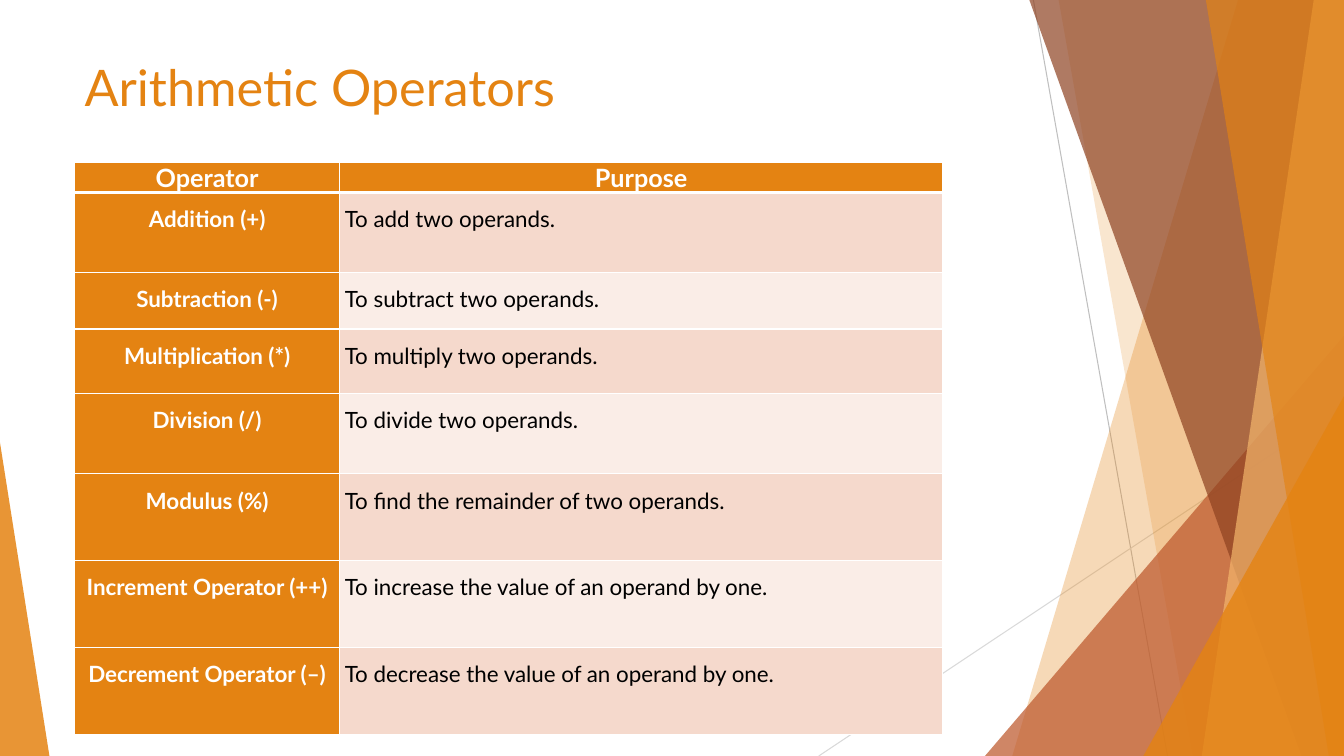
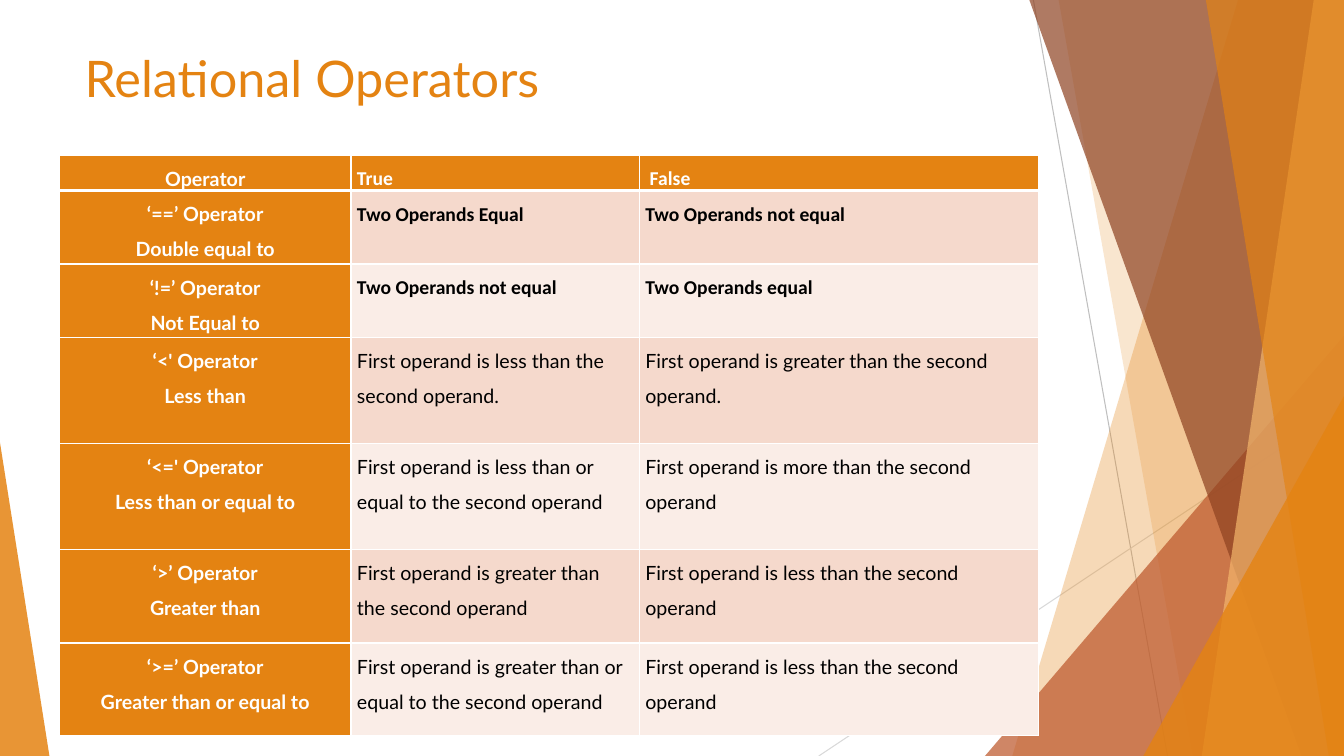
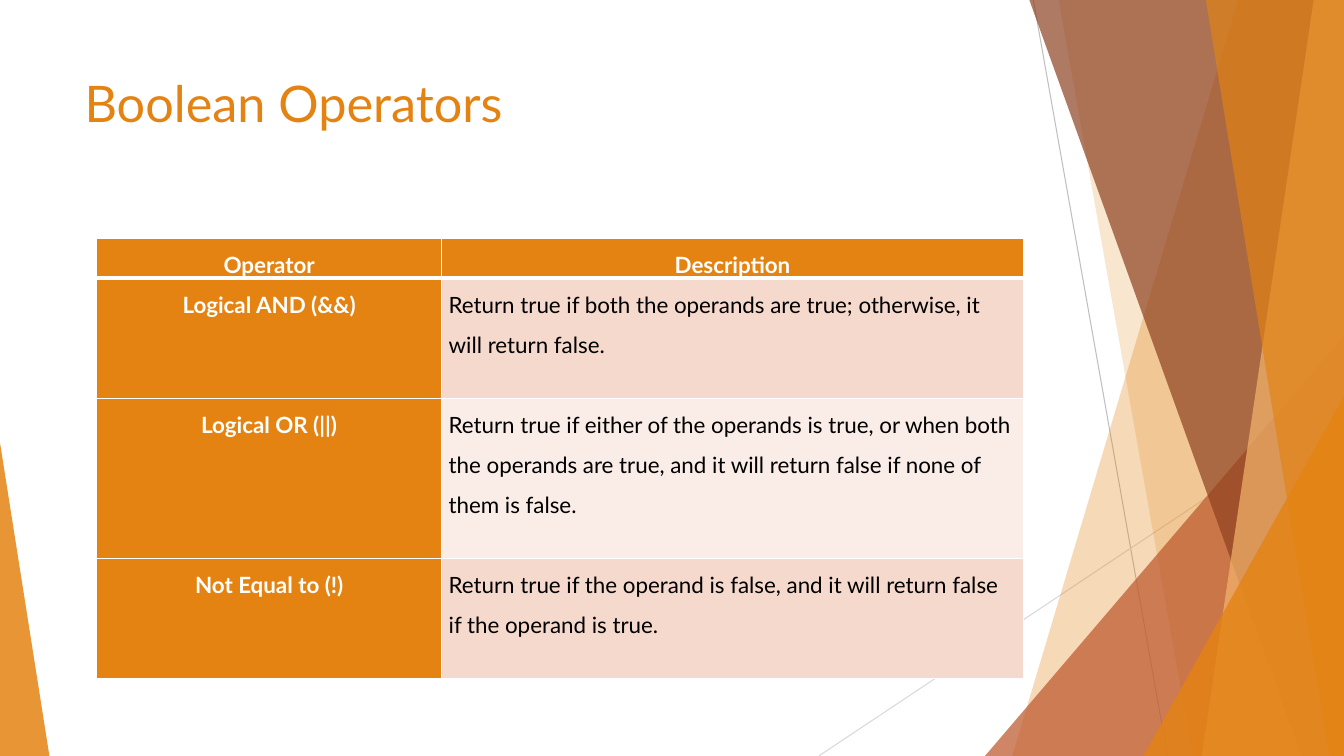
from dataclasses import dataclass
from typing import NamedTuple

from lxml.etree import SubElement
from pptx import Presentation
from pptx.dml.color import RGBColor
from pptx.enum.shapes import MSO_CONNECTOR as Connector, MSO_SHAPE as Preset
from pptx.enum.text import MSO_ANCHOR as Anchor, PP_ALIGN as Align
from pptx.oxml.ns import qn
from pptx.util import Emu, Inches, Pt

WIDTH, HEIGHT = Inches(13.33), Inches(7.5)

# Shared colours and fonts
ORANGE, RUST, BROWN, PEACH = "E48312", "BD582C", "8E4221", "F3B56C"
WHITE, BLACK = "FFFFFF", "000000"
ROW_TINTS = ("F5D9CC", "FAEDE7")
LATO, CALIBRI = "Lato", "Calibri"


def rgb(code: str) -> RGBColor:
    return RGBColor.from_string(code)


def across(percent: float) -> Emu:
    """A share of the slide's width."""
    return Emu(round(WIDTH * percent / 100))


def down(percent: float) -> Emu:
    """A share of the slide's height."""
    return Emu(round(HEIGHT * percent / 100))


# Background parts, in percent of the slide's width and height
class Ray(NamedTuple):
    start: tuple[float, float]
    end: tuple[float, float]
    color: str


class Band(NamedTuple):
    """Runs from a slanted left edge to the right edge of the slide."""
    top_x: float
    bottom_x: float
    color: str
    opacity: int


class Wedge(NamedTuple):
    """A right triangle standing on the bottom edge."""
    left: float
    right: float
    top: float
    apex: int
    color: str
    opacity: int


BACKGROUND = (
    Ray((76.89, 0), (86.87, 100), "BFBFBF"),
    Ray((100, 53.73), (60.92, 100), "D9D9D9"),
    Band(92.12, 75.32, ORANGE, 30),
    Band(78.77, 88.75, ORANGE, 20),
    Wedge(73.29, 100, 44.4, 1, RUST, 72),
    Band(76.59, 96.85, BROWN, 70),
    Band(97.75, 89.42, PEACH, 70),
    Band(89.72, 98.87, ORANGE, 65),
    Wedge(85.07, 100, 52.4, 1, ORANGE, 80),
    Wedge(0, 3.68, 58.53, 0, ORANGE, 85),
)


# Table content
@dataclass(frozen=True)
class Style:
    size: int
    color: str = BLACK
    bold: bool = False
    font: str = LATO
    align: Align = Align.LEFT
    spacing: float = 1.5


def label(size: int, spacing: float = 1.5) -> Style:
    return Style(size, WHITE, True, align=Align.CENTER, spacing=spacing)


@dataclass(frozen=True)
class Row:
    height: float
    texts: tuple[str, ...]
    label_style: Style
    body_style: Style


@dataclass(frozen=True)
class OperatorSlide:
    title: str
    title_top: float
    left: float
    top: float
    inset: float
    columns: tuple[float, ...]
    rows: tuple[Row, ...]


HEAD_18 = label(18, spacing=1)
LABEL_16, BODY_16 = label(16), Style(16)
LABEL_14, BODY_14 = label(14), Style(14)
HEAD_LEFT = Style(14, WHITE, True, CALIBRI)
BODY_BOLD = Style(14, BLACK, True, CALIBRI)


def row_16(height: float, *texts: str) -> Row:
    return Row(height, texts, LABEL_16, BODY_16)


def row_14(height: float, *texts: str, body: Style = BODY_14) -> Row:
    return Row(height, texts, LABEL_14, body)


SLIDES = (
    OperatorSlide(
        "Arithmetic Operators", 6.8, 5.55, 21.47, 0.05, (19.73, 44.86),
        (
            Row(3.97, ("Operator", "Purpose"), HEAD_18, HEAD_18),
            row_16(10.55, "Addition (+)", "To add two operands."),
            row_16(7.5, "Subtraction (-)", "To subtract two operands."),
            row_16(8.5, "Multiplication (*)", "To multiply two operands."),
            row_16(10.64, "Division (/)", "To divide two operands."),
            row_16(11.5, "Modulus (%)", "To find the remainder of two operands."),
            row_16(11.5, "Increment Operator (++)",
                   "To increase the value of an operand by one."),
            row_16(11.5, "Decrement Operator (–)",
                   "To decrease the value of an operand by one."),
        ),
    ),
    OperatorSlide(
        "Relational Operators", 5.6, 4.43, 20.53, 0.06, (21.68, 21.46, 29.71),
        (
            row_14(4.67, "Operator", "True", " False", body=HEAD_LEFT),
            row_14(9.73, "‘==’ Operator\nDouble equal to", "Two Operands Equal",
                   "Two Operands not equal", body=BODY_BOLD),
            row_14(9.73, "‘!=’ Operator\nNot Equal to", "Two Operands not equal",
                   "Two Operands equal", body=BODY_BOLD),
            row_14(14, "‘<' Operator\nLess than",
                   "First operand is less than the second operand.",
                   "First operand is greater than the second operand."),
            row_14(14, "‘<=' Operator\nLess than or equal to",
                   "First operand is less than or equal to the second operand",
                   "First operand is more than the second operand"),
            row_14(12.4, "‘>’ Operator\nGreater than",
                   "First operand is greater than the second operand",
                   "First operand is less than the second operand"),
            row_14(12.2, "‘>=’ Operator\nGreater than or equal to",
                   "First operand is greater than or equal to the second operand",
                   "First operand is less than the second operand"),
        ),
    ),
    OperatorSlide(
        "Boolean Operators", 8.93, 7.2, 31.47, 0.07, (25.66, 43.29),
        (
            Row(5.3, ("Operator", "Description"), LABEL_16, LABEL_16),
            row_16(15.87, "Logical AND (&&)",
                   "Return true if both the operands are true; otherwise, "
                   "it will return false."),
            row_16(21.2, "Logical OR (||)",
                   "Return true if either of the operands is true, or when both "
                   "the operands are true, and it will return false if none of "
                   "them is false."),
            row_16(15.87, "Not Equal to (!)",
                   "Return true if the operand is false, and it will return "
                   "false if the operand is true."),
        ),
    ),
)


# Drawing the background
def paint(shape, color: str, opacity: int) -> None:
    shape.shadow.inherit = False
    shape.line.fill.background()
    shape.fill.solid()
    shape.fill.fore_color.rgb = rgb(color)
    tint = shape._element.spPr.find(qn("a:solidFill"))[0]
    SubElement(tint, qn("a:alpha")).set("val", str(opacity * 1000))


def draw_ray(slide, ray: Ray) -> None:
    (x1, y1), (x2, y2) = ray.start, ray.end
    line = slide.shapes.add_connector(
        Connector.STRAIGHT, across(x1), down(y1), across(x2), down(y2))
    line.line.color.rgb = rgb(ray.color)
    line.line.width = Pt(0.75)
    SubElement(line._element.spPr, qn("a:effectLst"))


def draw_band(slide, band: Band) -> None:
    outline = slide.shapes.build_freeform(across(band.top_x), 0)
    outline.add_line_segments(
        [(WIDTH, 0), (WIDTH, HEIGHT), (across(band.bottom_x), HEIGHT)])
    paint(outline.convert_to_shape(), band.color, band.opacity)


def draw_wedge(slide, wedge: Wedge) -> None:
    triangle = slide.shapes.add_shape(
        Preset.ISOSCELES_TRIANGLE, across(wedge.left), down(wedge.top),
        across(wedge.right - wedge.left), down(100 - wedge.top))
    triangle.adjustments[0] = wedge.apex
    paint(triangle, wedge.color, wedge.opacity)


DRAWERS = {Ray: draw_ray, Band: draw_band, Wedge: draw_wedge}


def draw_background(slide) -> None:
    for part in BACKGROUND:
        DRAWERS[type(part)](slide, part)


# Drawing text and tables
def write(frame, text: str, style: Style) -> None:
    for index, line in enumerate(text.split("\n")):
        paragraph = frame.add_paragraph() if index else frame.paragraphs[0]
        paragraph.alignment = style.align
        paragraph.line_spacing = style.spacing
        run = paragraph.add_run()
        run.text = line
        run.font.name = style.font
        run.font.size = Pt(style.size)
        run.font.bold = style.bold
        run.font.color.rgb = rgb(style.color)


def draw_title(slide, text: str, top: float) -> None:
    title = slide.shapes.add_textbox(
        across(5.55), down(top), across(70.52), down(19.2))
    title.text_frame.word_wrap = True
    title.text_frame.vertical_anchor = Anchor.TOP
    write(title.text_frame, text, Style(36, ORANGE, spacing=1))


def border(cell, row_index: int) -> None:
    """White rules, with a heavy one under the header row."""
    properties = cell._tc.get_or_add_tcPr()
    heavy_sides = {0: "lnB", 1: "lnT"}
    for side in ("lnL", "lnR", "lnT", "lnB"):
        points = 3 if heavy_sides.get(row_index) == side else 1
        edge = SubElement(properties, qn(f"a:{side}"), w=str(Pt(points)))
        fill = SubElement(edge, qn("a:solidFill"))
        SubElement(fill, qn("a:srgbClr"), val=WHITE)


def draw_table(slide, content: OperatorSlide) -> None:
    table = slide.shapes.add_table(
        len(content.rows), len(content.columns),
        across(content.left), down(content.top),
        across(sum(content.columns)),
        down(sum(row.height for row in content.rows))).table
    table.horz_banding = False
    for column, width in zip(table.columns, content.columns):
        column.width = across(width)
    for r, row in enumerate(content.rows):
        table.rows[r].height = down(row.height)
        for c, text in enumerate(row.texts):
            cell = table.cell(r, c)
            cell.margin_left = cell.margin_right = Inches(content.inset)
            cell.margin_top = cell.margin_bottom = 0
            border(cell, r)
            is_label = r == 0 or c == 0
            cell.fill.solid()
            cell.fill.fore_color.rgb = rgb(
                ORANGE if is_label else ROW_TINTS[(r - 1) % 2])
            write(cell.text_frame, text, row.body_style if c else row.label_style)


def main() -> None:
    deck = Presentation()
    deck.slide_width, deck.slide_height = WIDTH, HEIGHT
    blank = deck.slide_layouts[6]
    for content in SLIDES:
        slide = deck.slides.add_slide(blank)
        draw_background(slide)
        draw_title(slide, content.title, content.title_top)
        draw_table(slide, content)
    deck.save("out.pptx")


if __name__ == "__main__":
    main()
